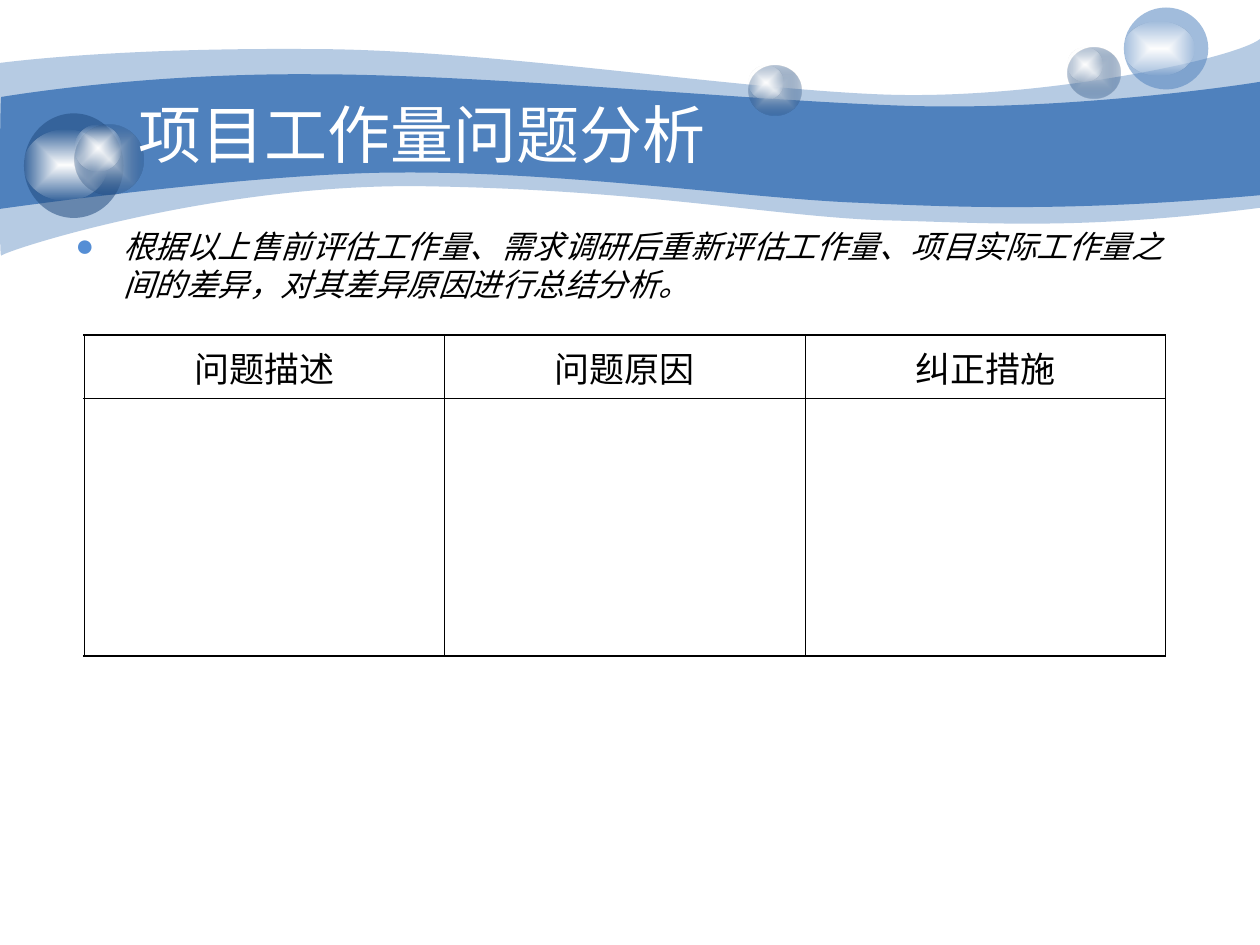
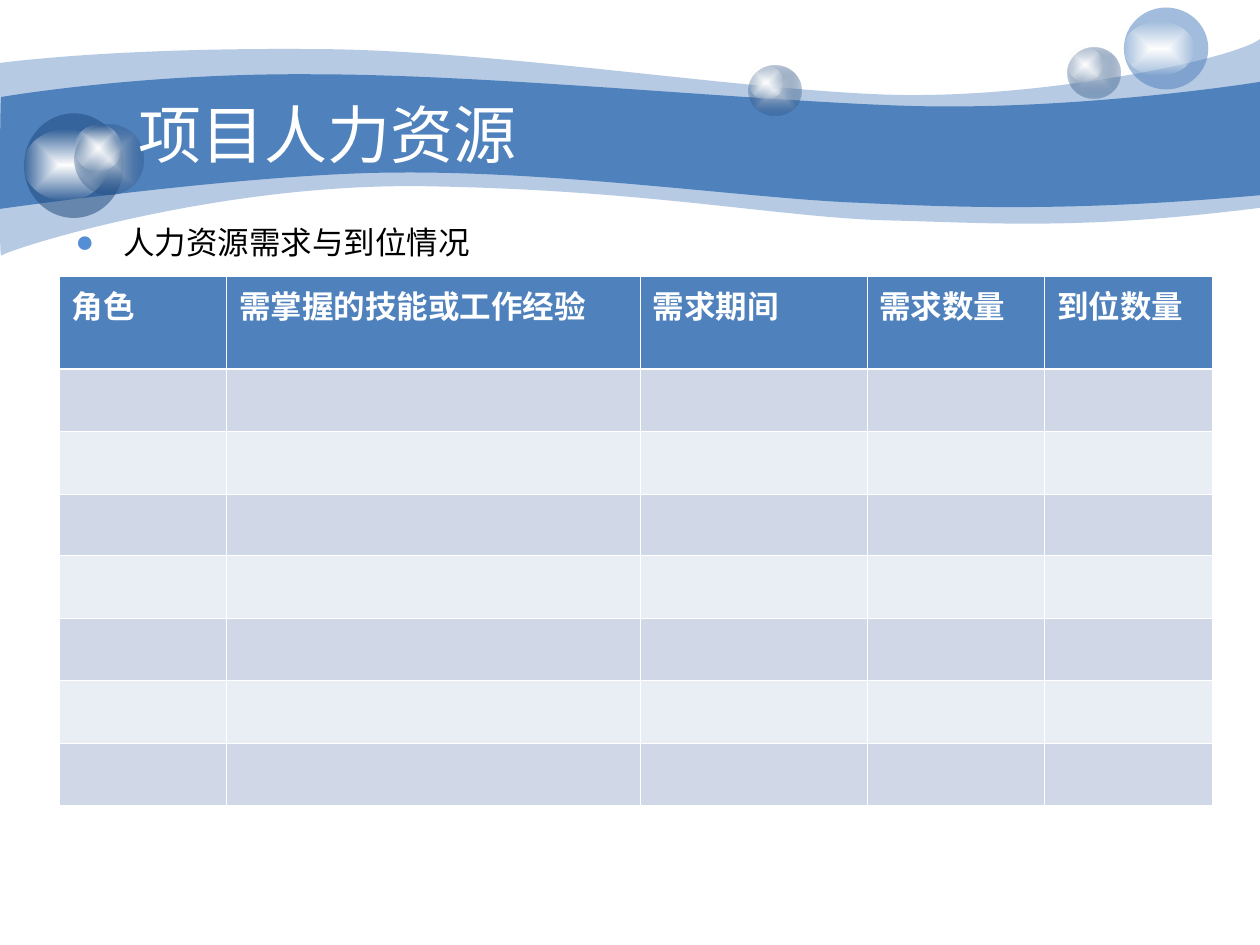
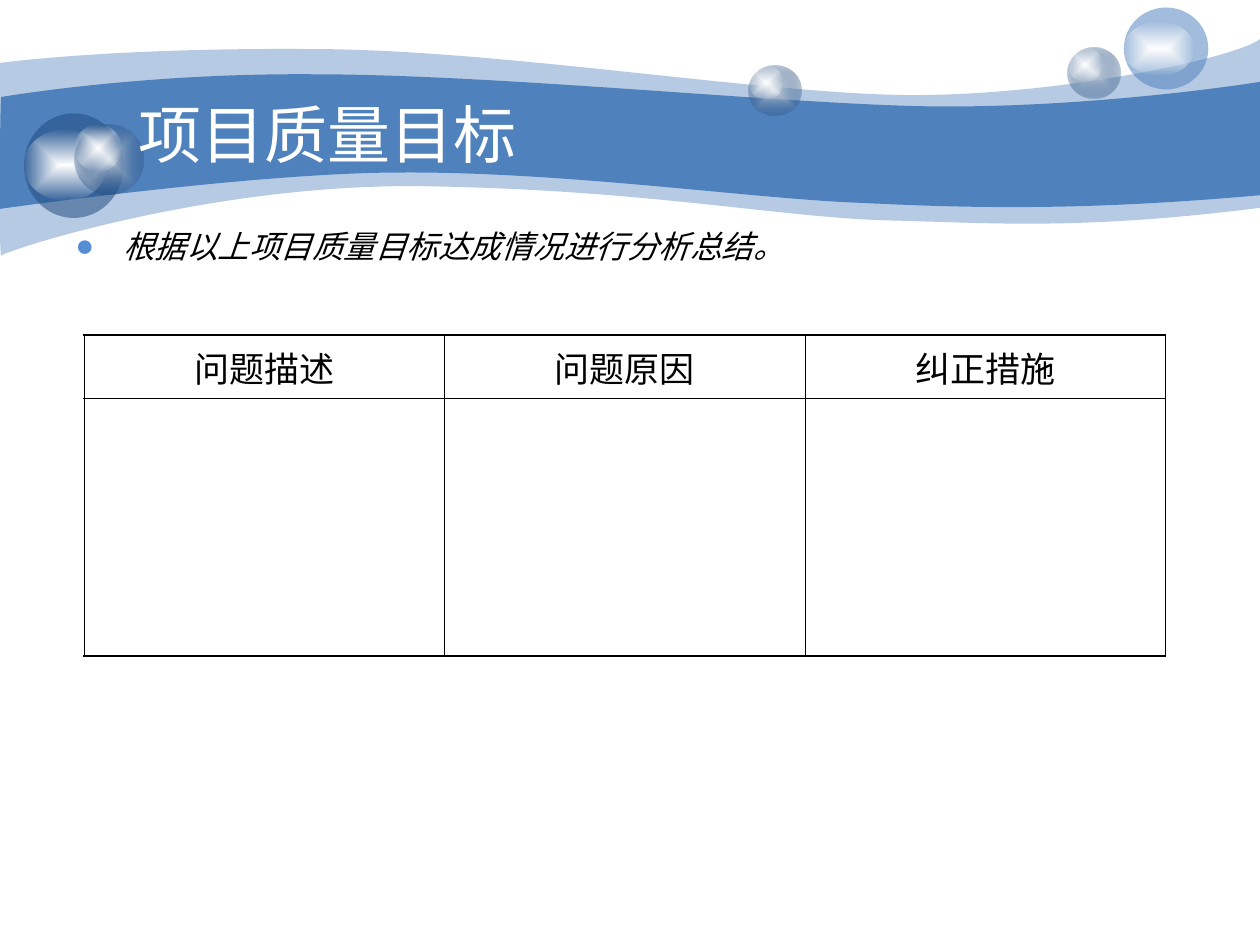
from lxml import etree
from pptx import Presentation
from pptx.dml.color import RGBColor
from pptx.enum.shapes import MSO_SHAPE
from pptx.enum.text import MSO_ANCHOR, PP_ALIGN
from pptx.oxml.ns import qn
from pptx.util import Inches, Pt

OVAL = MSO_SHAPE.OVAL
MIDDLE, TOP = MSO_ANCHOR.MIDDLE, MSO_ANCHOR.TOP
LEFT, CENTER = PP_ALIGN.LEFT, PP_ALIGN.CENTER

BLUE = RGBColor(0x4F, 0x81, 0xBD)
NAVY = RGBColor(0x1F, 0x49, 0x7D)
MIST = RGBColor(0xC6, 0xD1, 0xDE)
DOT = RGBColor(0x55, 0x8E, 0xD5)
DARK = RGBColor(0xD0, 0xD8, 0xE8)
PALE = RGBColor(0xE9, 0xED, 0xF4)
WHITE = RGBColor(0xFF, 0xFF, 0xFF)
BLACK = RGBColor(0, 0, 0)
HAN, LATIN = "Noto Sans CJK SC", "Arial"

ISSUES = dict(
    head=["问题描述", "问题原因", "纠正措施"],
    place=(0.67, 2.66), cols=[2.86] * 3, rows=[0.5, 2.05],
    fills=[None, None], ink=BLACK, size=20, bold=False, align=CENTER,
    line=BLACK, edge=1.2, rule=0.45)
STAFF = dict(
    head=["角色", "需掌握的技能或工作经验", "需求期间", "需求数量", "到位数量"],
    place=(0.47, 2.19), cols=[1.33, 3.28, 1.8, 1.41, 1.33],
    rows=[0.74] + [0.49, 0.5] * 3 + [0.49],
    fills=[BLUE] + [DARK, PALE] * 3 + [DARK],
    ink=WHITE, size=18, bold=True, align=LEFT,
    line=WHITE, edge=0.45, rule=0.45, under=1.47)

# title, body text, body format, table
SLIDES = [
    ("项目工作量问题分析",
     "根据以上售前评估工作量、需求调研后重新评估工作量、项目实际工作量之间的差异，对其差异原因进行总结分析。",
     dict(italic=True, pitch=21.7), ISSUES),
    ("项目人力资源", "人力资源需求与到位情况", dict(pitch=19.5), STAFF),
    ("项目质量目标", "根据以上项目质量目标达成情况进行分析总结。",
     dict(italic=True, pitch=21.7), ISSUES),
]

# Each wave: colour, opacity, start, then segments of one (line) or three (curve) points
WAVES = [
    (BLUE, 41, (0, 0.5), [
        [(0.24, 0.47), (1.07, 0.38), (2.47, 0.39)],
        [(3.86, 0.39), (5.75, 0.7), (6.99, 0.75)],
        [(8.22, 0.8), (9.8, 0.47), (10, 0.31)],
        [(10, 1.65)],
        [(8.58, 1.83), (7.87, 1.77), (7.05, 1.75)],
        [(6.22, 1.73), (5.15, 1.51), (3.43, 1.48)],
        [(1.72, 1.44), (0.04, 1.99), (0.01, 2.03)],
        [(-0.01, 2.08), (0, 0.75), (0, 0.5)]]),
    (BLUE, 100, (0.01, 0.77), [
        [(0.02, 0.77), (1.1, 0.58), (2.48, 0.59)],
        [(3.86, 0.59), (5.95, 0.8), (7.18, 0.84)],
        [(8.41, 0.88), (9.76, 0.69), (10, 0.65)],
        [(10, 1.55)],
        [(8.53, 1.68), (7.65, 1.65), (6.82, 1.61)],
        [(5.99, 1.58), (4.47, 1.36), (3.17, 1.37)],
        [(2.03, 1.37), (-0.02, 1.66), (-0.01, 1.66)],
        [(0, 1.66), (0, 0.77), (0.01, 0.77)]]),
]

GLASS = [(MIST, 100), (NAVY, 31)]
GLOW = [(WHITE, 100), (WHITE, 0)]
# Each orb: ball place, ball stops, glow place
ORBS = [
    ((8.47, 0.38, 0.42, 0.4), GLASS, (8.47, 0.38, 0.28, 0.27)),
    ((8.92, 0.06, 0.67, 0.65), [(BLUE, 53)], (8.92, 0.17, 0.56, 0.43)),
    ((0.19, 0.9, 0.79, 0.83), [(NAVY, 53)], (0.19, 1.03, 0.66, 0.56)),
    ((0.59, 0.99, 0.55, 0.55), GLASS, (0.59, 0.99, 0.37, 0.37)),
    ((5.94, 0.52, 0.42, 0.4), GLASS, (5.94, 0.52, 0.28, 0.27)),
]


def node(parent, tag, **attrs):
    item = etree.SubElement(parent, qn(tag))
    for key, value in attrs.items():
        item.set(key, str(value))
    return item


def tint(parent, color, alpha=100):
    """Add a colour with its opacity in percent."""
    item = node(parent, "a:srgbClr", val=color)
    if alpha < 100:
        node(item, "a:alpha", val=alpha * 1000)


def paint(shape, stops):
    """Fill with one (colour, opacity), or with a gradient from the centre out."""
    shape.shadow.inherit = False
    shape.line.fill.background()
    fill = etree.Element(qn("a:solidFill" if len(stops) == 1 else "a:gradFill"))
    if len(stops) == 1:
        tint(fill, *stops[0])
    else:
        ramp = node(fill, "a:gsLst")
        for pos, stop in zip((0, 100000), stops):
            tint(node(ramp, "a:gs", pos=pos), *stop)
        way = node(fill, "a:path", path="rect")
        node(way, "a:fillToRect", l=50000, t=50000, r=50000, b=50000)
    shape.line._get_or_add_ln().addprevious(fill)


def wave(slide, start, parts):
    """Draw an outline, turning each run of three points into one curve."""
    points = [tuple(map(Inches, point)) for part in parts for point in part]
    pen = slide.shapes.build_freeform(*map(Inches, start))
    pen.add_line_segments(points, close=True)
    shape = pen.convert_to_shape()
    lines = iter(list(shape._element.iter(qn("a:lnTo"))))
    for part in parts:
        first, *rest = [next(lines) for _ in part]
        if rest:
            first.addprevious(curve := etree.Element(qn("a:cubicBezTo")))
            for line in (first, *rest):
                curve.append(line[0])
                line.getparent().remove(line)
    return shape


def write(frame, text, size=18, color=BLACK, face=HAN, bold=False, italic=False,
          align=LEFT, anchor=TOP, pitch=None, bullet=False):
    frame.word_wrap = True
    frame.vertical_anchor = anchor
    para = frame.paragraphs[0]
    para.alignment = align
    if pitch:
        para.line_spacing = Pt(pitch)
    if bullet:
        props = para._p.get_or_add_pPr()
        props.set("marL", str(Inches(0.38)))
        props.set("indent", str(-Inches(0.38)))
        tint(node(props, "a:buClr"), DOT)
        node(props, "a:buFont", typeface=LATIN)
        node(props, "a:buChar", char="●")
    run = para.add_run()
    run.text = text
    font = run.font
    font.size, font.bold, font.italic = Pt(size), bold, italic
    font.color.rgb = color
    font.name = face
    node(font._element, "a:ea", typeface=HAN)


def label(slide, place, text, **style):
    box = slide.shapes.add_textbox(*map(Inches, place))
    write(box.text_frame, text, **style)


def border(cell, widths, color):
    props = cell._tc.get_or_add_tcPr()
    for side, width in zip("LRTB", widths):
        line = node(props, f"a:ln{side}", w=Pt(width))
        tint(node(line, "a:solidFill"), color)


def grid(slide, data):
    cols, rows = data["cols"], data["rows"]
    size = sum(cols), sum(rows)
    table = slide.shapes.add_table(len(rows), len(cols),
                                   *map(Inches, data["place"] + size)).table
    table.first_row = table.horz_banding = False
    for col, width in zip(table.columns, cols):
        col.width = Inches(width)
    for row, height in zip(table.rows, rows):
        row.height = Inches(height)

    edge, rule = data["edge"], data["rule"]
    under = data.get("under", rule)
    across = [edge, under] + [rule] * (len(rows) - 2) + [edge]
    down = [edge] + [rule] * (len(cols) - 1) + [edge]
    for r, fill in enumerate(data["fills"]):
        for c, head in enumerate(data["head"]):
            cell = table.cell(r, c)
            border(cell, down[c:c + 2] + across[r:r + 2], data["line"])
            if fill is None:
                cell.fill.background()
            else:
                cell.fill.solid()
                cell.fill.fore_color.rgb = fill
            if r == 0:
                write(cell.text_frame, head, size=data["size"], color=data["ink"],
                      face=LATIN, bold=data["bold"], align=data["align"])


def banner(slide):
    """Draw the waves and glass balls that every slide shares."""
    for color, alpha, start, parts in WAVES:
        paint(wave(slide, start, parts), [(color, alpha)])
    for ball, stops, glow in ORBS:
        for place, shades in ((ball, stops), (glow, GLOW)):
            paint(slide.shapes.add_shape(OVAL, *map(Inches, place)), shades)


def main():
    deck = Presentation()
    deck.slide_width, deck.slide_height = Inches(10), Inches(7.5)
    for title, body, style, data in SLIDES:
        slide = deck.slides.add_slide(deck.slide_layouts[6])
        banner(slide)
        label(slide, (1, 0.75, 8.08, 0.62), title, size=36, color=WHITE, anchor=MIDDLE)
        label(slide, (0.5, 1.75, 9, 0.94), body, bullet=True, **style)
        grid(slide, data)
    deck.save("out.pptx")


if __name__ == "__main__":
    main()
